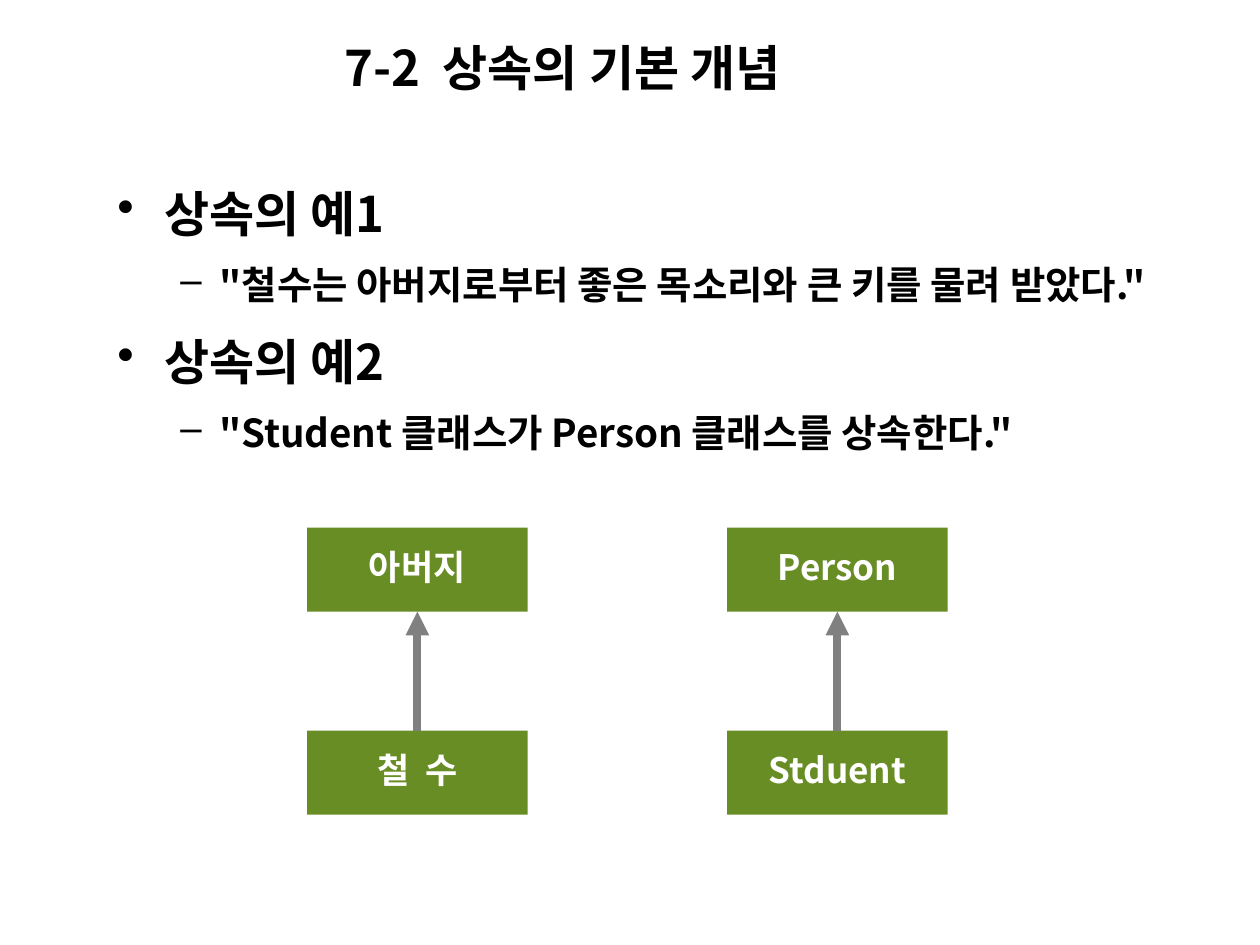
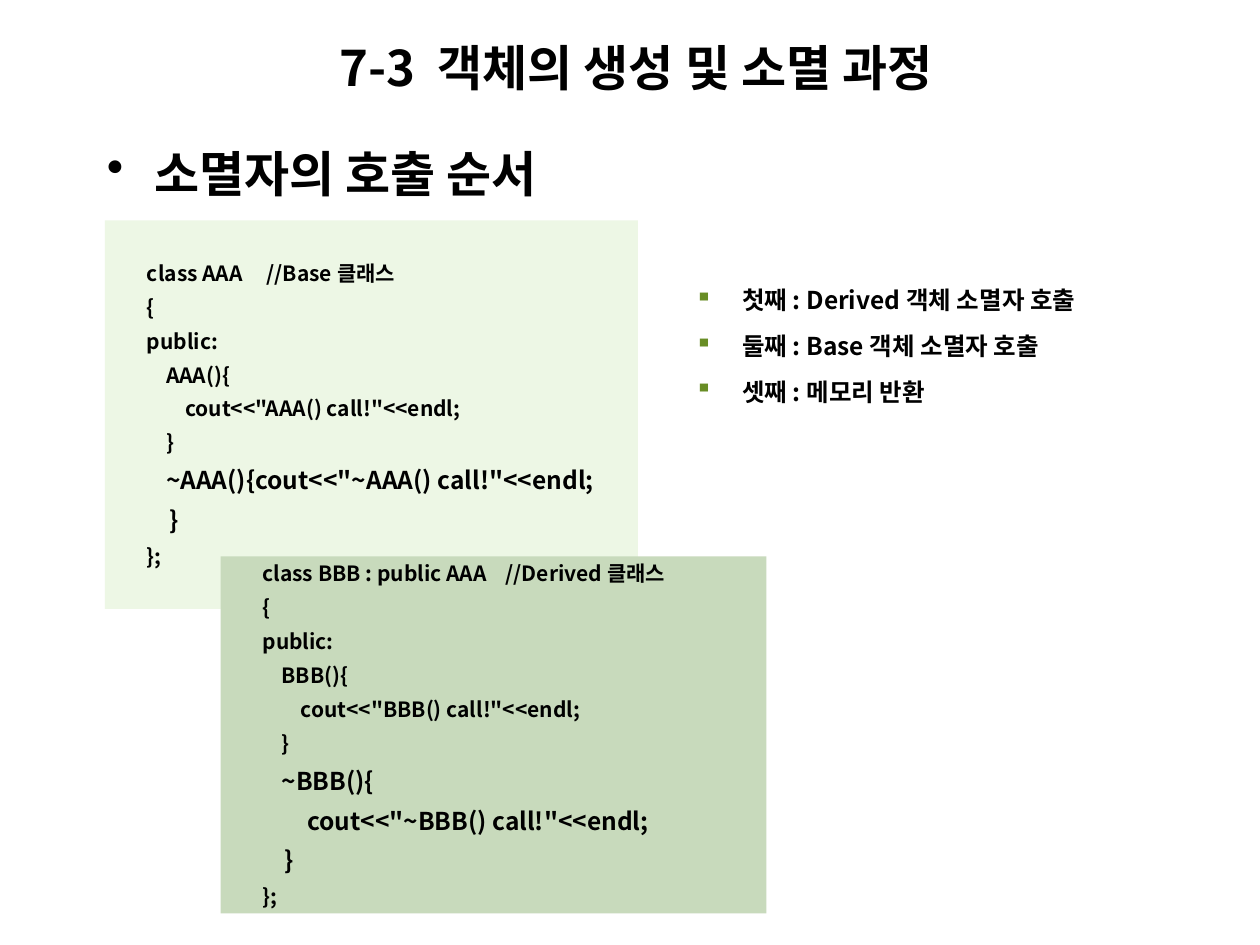
from pptx import Presentation
from pptx.dml.color import RGBColor
from pptx.enum import shapes, text
from pptx.oxml.ns import qn
from pptx.util import Pt
from lxml import etree

FONT = "Noto Sans CJK KR"
COLORS = {"ink": "000000", "white": "FFFFFF", "green": "688D25", "arrow": "808080",
          "base": "EDF7E5", "derived": "C8DABC"}
MIDDLE, TOP = text.MSO_ANCHOR.MIDDLE, text.MSO_ANCHOR.TOP

# bullet level: mark, mark colour, left margin, hanging indent, size, line spacing, space before
LEVELS = {
    "head": ("•", "ink", 27, 27, 28, 1.2, 7),
    "sub": ("–", "ink", 58.5, 22.5, 22, 1.2, 5.5),
    "step": ("▪", "green", 27, 27, 14, 1.35, 3.5),
}

CONCEPT_TITLE = ("7-2  상속의 기본 개념", (190, 18, 306, 41))
EXAMPLES = [
    ("head", "상속의 예1"),
    ("sub", '"철수는 아버지로부터 좋은 목소리와 큰 키를 물려 받았다."'),
    ("head", "상속의 예2"),
    ("sub", '"Student 클래스가 Person 클래스를 상속한다."'),
]
FAMILIES = [("아버지", "철  수"), ("Person", "Stduent")]  # parent, child

LIFE_TITLE = ("7-3  객체의 생성 및 소멸 과정", (187, 17.5, 402.5, 41))
ORDER_HEADING = [("head", "소멸자의 호출 순서")]
ORDER_STEPS = [
    ("step", "첫째 : Derived 객체 소멸자 호출"),
    ("step", "둘째 : Base 객체 소멸자 호출"),
    ("step", "셋째 : 메모리 반환"),
]
BASE_CODE = """class AAA     //Base 클래스
{
public:
    AAA(){
        cout<<"AAA() call!"<<endl;
    }
    ~AAA(){cout<<"~AAA() call!"<<endl;
    }
};"""
DERIVED_CODE = """class BBB : public AAA    //Derived 클래스
{
public:
    BBB(){
        cout<<"BBB() call!"<<endl;
    }
    ~BBB(){
        cout<<"~BBB() call!"<<endl;
    }
};"""
CODE_SIZE, DESTRUCTOR_SIZE = 12, 14


def rgb(name):
    return RGBColor.from_string(COLORS[name])


def style(p, size, color="ink"):
    for r in p.runs:
        r.font.size, r.font.bold, r.font.name = Pt(size), True, FONT
        r.font.color.rgb = rgb(color)
        etree.SubElement(r._r.get_or_add_rPr(), qn("a:ea"), typeface=FONT)


def paragraphs(tf, count):
    return [tf.paragraphs[0]] + [tf.add_paragraph() for _ in range(count - 1)]


def add_text(slide, box, anchor):
    tf = slide.shapes.add_textbox(*map(Pt, box)).text_frame
    tf.word_wrap, tf.vertical_anchor = True, anchor
    return tf


def add_title(slide, title, box):
    p = add_text(slide, box, MIDDLE).paragraphs[0]
    p.text = title
    style(p, 28)


def add_bullets(slide, items, box, anchor=TOP):
    tf = add_text(slide, box, anchor)
    for i, (p, (level, words)) in enumerate(zip(paragraphs(tf, len(items)), items)):
        mark, color, margin, hang, size, spacing, before = LEVELS[level]
        p.text = words
        p.line_spacing = spacing
        p.space_before = Pt(before if i else 0)
        pPr = p._p.get_or_add_pPr()
        pPr.set("marL", str(Pt(margin)))
        pPr.set("indent", str(-Pt(hang)))
        clr = etree.SubElement(pPr, qn("a:buClr"))
        etree.SubElement(clr, qn("a:srgbClr"), val=COLORS[color])
        etree.SubElement(pPr, qn("a:buChar"), char=mark)
        style(p, size)


def add_panel(slide, box, fill):
    s = slide.shapes.add_shape(shapes.MSO_SHAPE.RECTANGLE, *map(Pt, box))
    s.shadow.inherit = False
    s.fill.solid()
    s.fill.fore_color.rgb = rgb(fill)
    s.line.fill.background()
    s.text_frame.vertical_anchor = MIDDLE
    return s


def add_class_box(slide, name, box):
    s = add_panel(slide, box, "green")
    s.text_frame.word_wrap = False
    p = s.text_frame.paragraphs[0]
    p.text = name
    p.alignment, p.line_spacing = text.PP_ALIGN.CENTER, 0.9
    style(p, 20, "white")
    return s


def add_inheritance_arrow(slide, child, parent):
    c = slide.shapes.add_connector(shapes.MSO_CONNECTOR.STRAIGHT, 0, 0, 0, 0)
    c.begin_connect(child, 0)
    c.end_connect(parent, 2)
    c.line.color.rgb, c.line.width = rgb("arrow"), Pt(4.5)
    etree.SubElement(c.line._get_or_add_ln(), qn("a:tailEnd"), type="triangle")
    etree.SubElement(c._element.spPr, qn("a:effectLst"))


def add_code(slide, code, box, fill):
    """Code panel whose destructor is set larger than the rest."""
    tf = add_panel(slide, box, fill).text_frame
    tf.word_wrap = True
    tf.margin_left, tf.margin_top, tf.margin_right, tf.margin_bottom = map(Pt, (24, 9.5, 7.2, 15))
    lines = code.split("\n")
    size = CODE_SIZE
    for p, line in zip(paragraphs(tf, len(lines)), lines):
        p.alignment, p.line_spacing = text.PP_ALIGN.LEFT, 1.35
        words = line.lstrip()
        starts_destructor = words.startswith("~")
        if starts_destructor:
            p.add_run().text = line[:-len(words)]
            p.add_run().text = words
            size = DESTRUCTOR_SIZE
        else:
            p.text = line
            if words == "};":
                size = CODE_SIZE
        style(p, size)
        if starts_destructor:
            p.runs[0].font.size = Pt(CODE_SIZE)


def concept_slide(slide):
    add_title(slide, *CONCEPT_TITLE)
    add_bullets(slide, EXAMPLES, (60, 94.5, 660, 206.5))
    left, top, width, height, column_step, row_step = 175.5, 301.5, 126, 48, 240, 116
    for col, names in enumerate(FAMILIES):
        parent, child = [
            add_class_box(slide, name,
                          (left + col * column_step, top + row * row_step, width, height))
            for row, name in enumerate(names)]
        add_inheritance_arrow(slide, child, parent)


def life_slide(slide):
    add_title(slide, *LIFE_TITLE)
    add_bullets(slide, ORDER_HEADING, (54, 72, 612, 47.5))
    add_bullets(slide, ORDER_STEPS, (390, 125.5, 291.5, 138), MIDDLE)
    add_code(slide, BASE_CODE, (60, 126, 304.5, 222), "base")
    add_code(slide, DERIVED_CODE, (126, 318, 312, 204), "derived")


def main():
    prs = Presentation()
    prs.slide_width, prs.slide_height = Pt(720), Pt(540)
    for build in (concept_slide, life_slide):
        build(prs.slides.add_slide(prs.slide_layouts[6]))
    prs.save("out.pptx")


if __name__ == "__main__":
    main()
